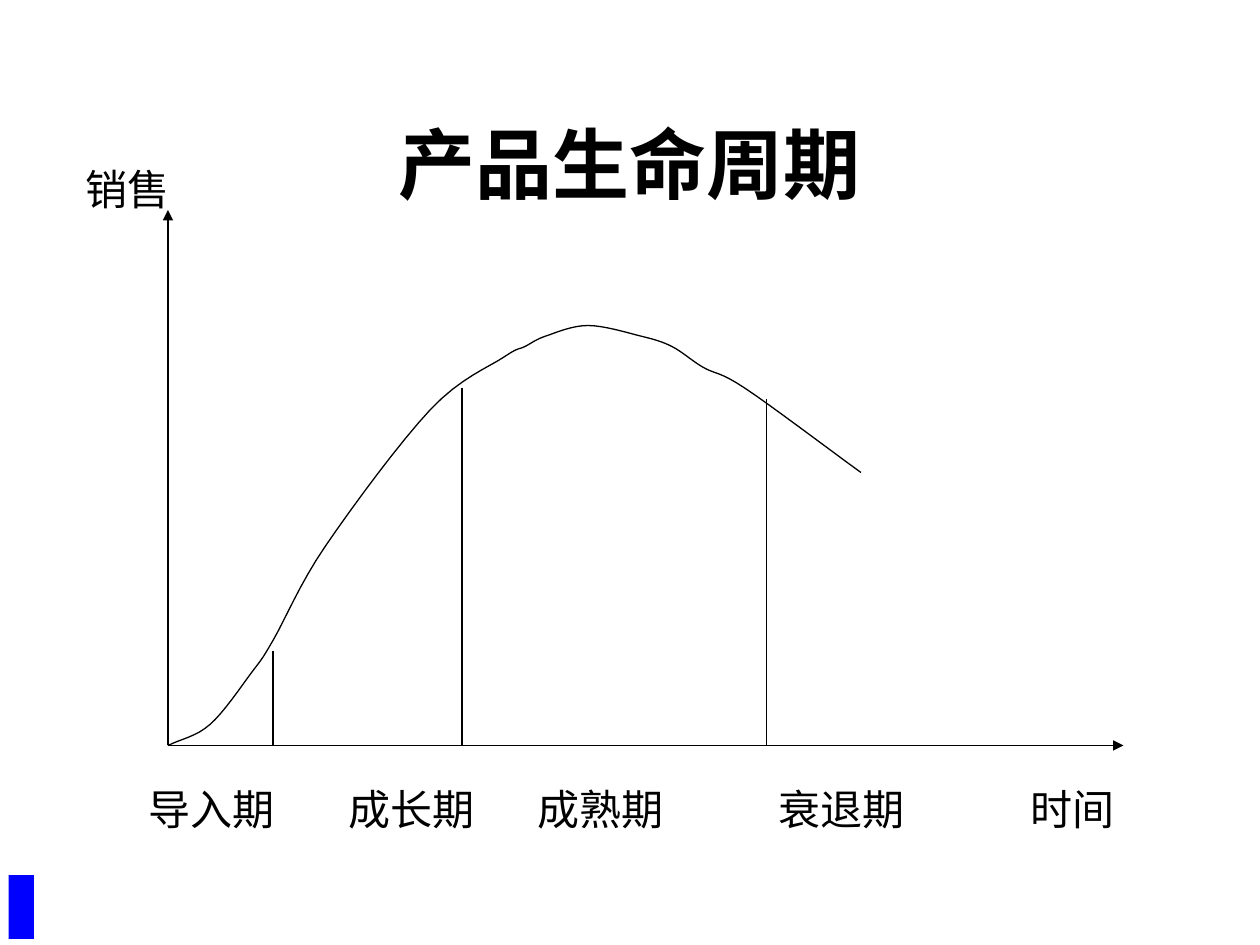
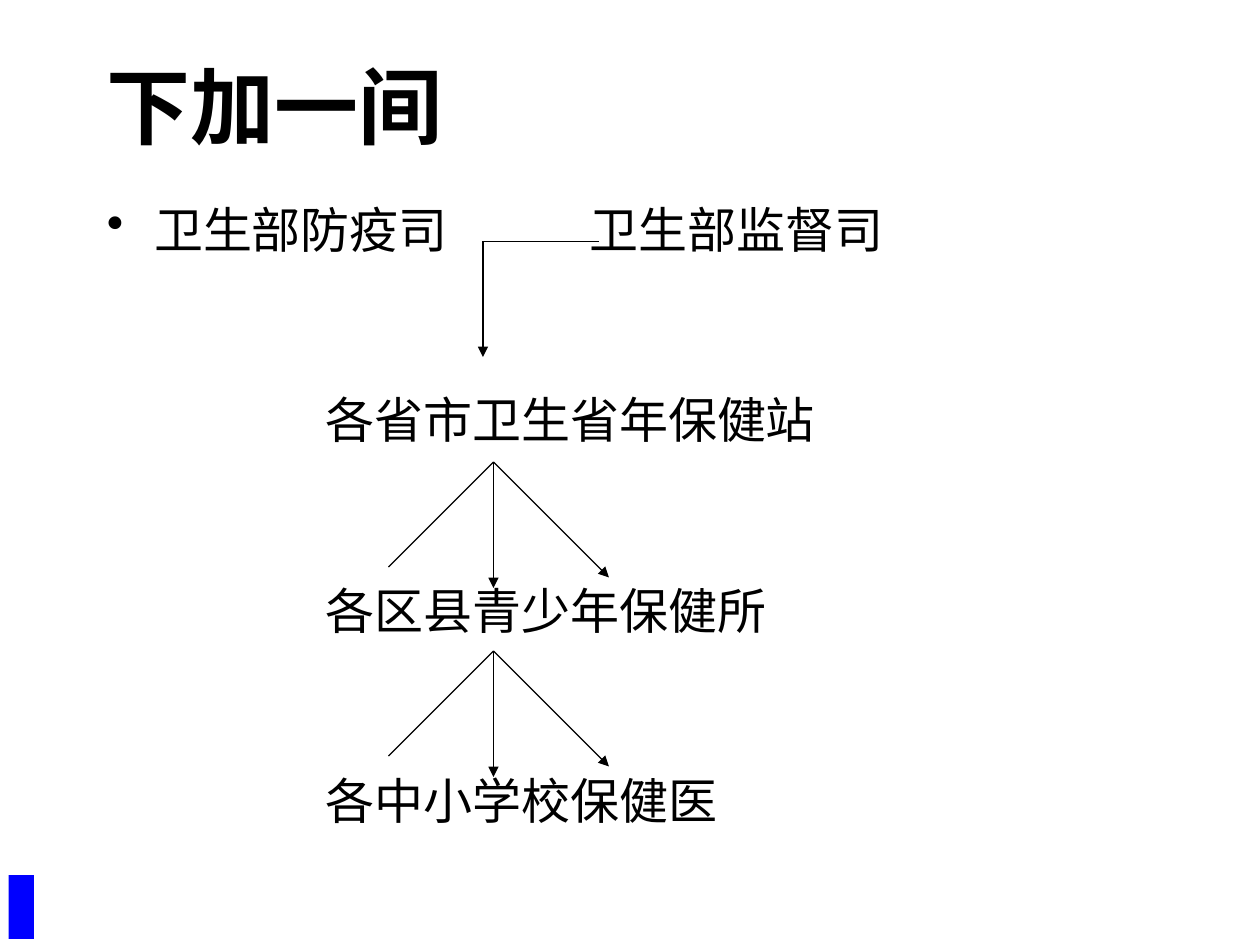
import pptx
import pptx.dml.color
import pptx.enum.shapes
import pptx.enum.text
import pptx.oxml.ns
import pptx.util
from lxml import etree

Pt = pptx.util.Pt
Align = pptx.enum.text.PP_ALIGN
Anchor = pptx.enum.text.MSO_ANCHOR
Shape = pptx.enum.shapes.MSO_SHAPE
qn = pptx.oxml.ns.qn

BLACK = pptx.dml.color.RGBColor(0, 0, 0)
BLUE = pptx.dml.color.RGBColor(0, 0, 255)
FONT = "Times New Roman"
UNIT = 6  # drawing grid, in points
STEPS = 8  # line pieces per curve section


# Shared parts
def style(par, size, bold=False):
    for run in par.runs:
        run.font.name = FONT
        run.font.size = Pt(size)
        run.font.bold = bold
        run.font.color.rgb = BLACK


def label(slide, box, text, size):
    frame = slide.shapes.add_textbox(*map(Pt, box)).text_frame
    frame.word_wrap = True
    frame.text = text
    for par in frame.paragraphs:
        style(par, size)
    return frame


def title(slide, box, text, size, align):
    frame = label(slide, box, text, size)
    frame.vertical_anchor = Anchor.MIDDLE
    par = frame.paragraphs[0]
    par.alignment = align
    style(par, size, bold=True)


def line(slide, start, end, arrow=False):
    kind = pptx.enum.shapes.MSO_CONNECTOR.STRAIGHT
    link = slide.shapes.add_connector(kind, *map(Pt, start + end))
    link.line.color.rgb = BLACK
    link.line.width = Pt(0.75)
    if arrow:
        etree.SubElement(link.line._get_or_add_ln(), qn("a:tailEnd"), type="triangle")
    etree.SubElement(link._element.spPr, qn("a:effectLst"))


def page(deck):
    slide = deck.slides.add_slide(deck.slide_layouts[6])
    mark = slide.shapes.add_shape(Shape.RECTANGLE, Pt(5), Pt(500), Pt(14.4), Pt(36.6))
    mark.shadow.inherit = False
    mark.fill.solid()
    mark.fill.fore_color.rgb = BLUE
    mark.line.fill.background()
    return slide


# Smooth curve through the knots
def smooth(knots):
    def mirror(a, b):
        return 2 * a[0] - b[0], 2 * a[1] - b[1]

    ring = [mirror(knots[0], knots[1]), *knots, mirror(knots[-1], knots[-2])]
    spots = [knots[0]]
    for a, b, c, d in zip(ring, ring[1:], ring[2:], ring[3:]):
        for step in range(1, STEPS + 1):
            t = step / STEPS
            spots.append(tuple(
                q + t / 2 * (r - p + t * (2 * p - 5 * q + 4 * r - s
                                          + t * (3 * q - p - 3 * r + s)))
                for p, q, r, s in zip(a, b, c, d)))
    return spots


def chart(slide, left, base):
    def spot(x, y):
        return left + x * UNIT, base - y * UNIT

    # Axes and stage limits
    for end in ((0, 51), (91, 0)):
        line(slide, spot(0, 0), spot(*end), arrow=True)
    for x, high in ((10, 9), (28, 34), (57, 33)):
        line(slide, spot(x, high), spot(x, 0))

    # Sales curve
    knots = [(0, 0), (4, 2), (8, 7), (10, 10), (15, 19), (25, 32), (32, 37), (34, 38),
             (36, 39), (40, 40), (45, 39), (48, 38), (51, 36), (55, 34), (66, 26)]
    dots = [tuple(map(Pt, spot(*knot))) for knot in smooth(knots)]
    pen = slide.shapes.build_freeform(*dots[0])
    pen.add_line_segments(dots[1:], close=False)
    curve = pen.convert_to_shape()
    curve.shadow.inherit = False
    curve.fill.background()
    curve.line.color.rgb = BLACK
    curve.line.width = Pt(0.75)

    # Axis and stage names
    label(slide, (left - 54, base - 336, 84, 36), "销售", 24)
    for x, wide, text in ((-18, 138, "导入期"), (96, 114, "成长期"), (204, 132, "成熟期"),
                          (342, 102, "衰退期"), (486, 84, "时间")):
        label(slide, (left + x, base + 18, wide, 36), text, 24)


def fan(slide, left, top):
    for x, y, arrow in ((0, 72, True), (66, 66, True), (-60, 60, False)):
        line(slide, (left, top), (left + x, top + y), arrow)


def tree(slide, left, top, wide, high):
    # Levels of the service
    rows = ["卫生部防疫司", "各省市卫生省年保健站", "各区县青少年保健所", "各中小学校保健医"]
    frame = label(slide, (left, top, wide, high), "\n".join(rows), 28)
    for par in frame.paragraphs:
        par.line_spacing = 0.9
    head, *rest = frame.paragraphs
    props = head._p.get_or_add_pPr()
    props.set("marL", str(Pt(27)))
    props.set("indent", str(Pt(-27)))
    etree.SubElement(props, qn("a:buChar"), char="•")
    for par in rest:
        par.space_before = Pt(78.7)
        par._p.get_or_add_pPr().set("marL", str(Pt(125)))
    side = label(slide, (left + 276, top, 200, 40), "卫生部监督司", 28)
    side.paragraphs[0].line_spacing = 0.9

    # Links between levels
    bend = (left + 222, top + 24)
    line(slide, bend, (bend[0], bend[1] + 66), arrow=True)
    line(slide, bend, (bend[0] + 66, bend[1]))
    for drop in (150, 258):
        fan(slide, left + 228, top + drop)


def main():
    deck = pptx.Presentation()
    deck.slide_width, deck.slide_height = Pt(720), Pt(540)

    slide = page(deck)
    title(slide, (54, 48, 612, 90), "产品生命周期", 44, Align.CENTER)
    chart(slide, 96, 426)

    slide = page(deck)
    title(slide, (54, 24, 612, 72), "下加一间", 48, Align.LEFT)
    tree(slide, 54, 114, 612, 396)

    deck.save("out.pptx")


if __name__ == "__main__":
    main()
